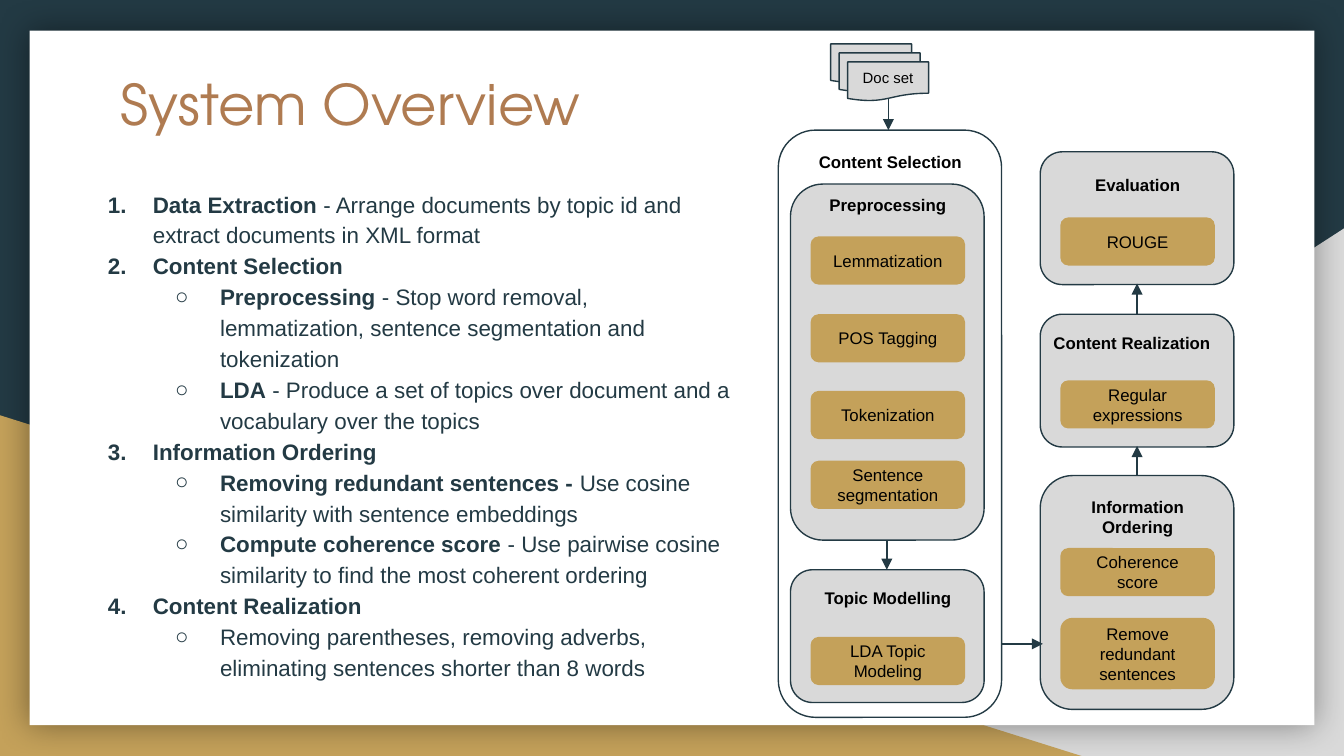
"""Build the System Overview slide with its process diagram."""
import dataclasses

import lxml.etree
import pptx
import pptx.dml.color
import pptx.enum.shapes
import pptx.enum.text
import pptx.oxml.ns
import pptx.util

Cm = pptx.util.Cm
Pt = pptx.util.Pt
qn = pptx.oxml.ns.qn
SHAPE = pptx.enum.shapes.MSO_SHAPE
ANCHOR = pptx.enum.text.MSO_ANCHOR
ALIGN = pptx.enum.text.PP_ALIGN


@dataclasses.dataclass(frozen=True)
class Theme:
    navy: str = "233A44"
    gold: str = "C4A15A"
    grey: str = "D9D9D9"
    white: str = "FFFFFF"
    black: str = "000000"
    copper: str = "AF7B51"
    heading_font: str = "TeX Gyre Adventor"
    text_font: str = "Arial"
    title_size: float = 30
    body_size: float = 12
    step_size: float = 9
    document_size: float = 8
    outline: float = 0.75


def colour(code):
    return pptx.dml.color.RGBColor.from_string(code)


def apply(target, values):
    for name, value in values.items():
        setattr(target, name, value)


def add_xml(parent, tag, **attributes):
    return lxml.etree.SubElement(parent, qn(tag), attributes)


class Deck:
    def __init__(self, slide, theme):
        self.slide, self.theme = slide, theme
        slide.background.fill.solid()
        slide.background.fill.fore_color.rgb = colour(theme.navy)

    def frame(self, shape, anchor=ANCHOR.TOP):
        frame = shape.text_frame
        apply(frame, {"word_wrap": True, "vertical_anchor": anchor,
                      **{f"margin_{side}": Cm(0.25)
                         for side in ("left", "right", "top", "bottom")}})
        return frame

    def run(self, paragraph, text, size, ink, bold=False, font=None):
        run = paragraph.add_run()
        run.text = text
        apply(run.font, {"name": font or self.theme.text_font,
                         "size": Pt(size), "bold": bold})
        run.font.color.rgb = colour(ink)

    def shape(self, kind, box, fill=None, outlined=False, text="", size=None):
        shape = self.slide.shapes.add_shape(kind, *map(Cm, box))
        shape.shadow.inherit = False
        if fill:
            shape.fill.solid()
            shape.fill.fore_color.rgb = colour(fill)
        else:
            shape.fill.background()
        if outlined:
            shape.line.color.rgb = colour(self.theme.navy)
            shape.line.width = Pt(self.theme.outline)
        else:
            shape.line.fill.background()
        if text:
            paragraph = self.frame(shape, ANCHOR.MIDDLE).paragraphs[0]
            paragraph.alignment = ALIGN.CENTER
            self.run(paragraph, text, size or self.theme.step_size, self.theme.black)
        return shape

    def backdrop(self):
        corner = self.shape(SHAPE.RIGHT_TRIANGLE, (9.96, 4.32, 15.44, 9.98), self.theme.grey)
        corner.element.spPr.find(qn("a:xfrm")).set("flipH", "1")
        self.shape(SHAPE.RIGHT_TRIANGLE, (0, 7.85, 20.47, 6.45), self.theme.gold)
        panel = self.shape(SHAPE.RECTANGLE, (0.56, 0.58, 24.28, 13.13), self.theme.white)
        glow = add_xml(panel.element.spPr.find(qn("a:effectLst")), "a:outerShdw",
                       blurRad=str(Pt(18)), dist="0", dir="0", algn="ctr", rotWithShape="0")
        add_xml(add_xml(glow, "a:srgbClr", val=self.theme.black), "a:alpha", val="40000")

    def title(self, text, box):
        frame = self.frame(self.slide.shapes.add_textbox(*map(Cm, box)))
        self.run(frame.paragraphs[0], text, self.theme.title_size,
                 self.theme.copper, font=self.theme.heading_font)

    def label(self, text, box):
        frame = self.frame(self.slide.shapes.add_textbox(*map(Cm, box)))
        frame.paragraphs[0].alignment = ALIGN.CENTER
        self.run(frame.paragraphs[0], text, self.theme.step_size, self.theme.black, bold=True)

    def outline(self, points, box):
        frame = self.frame(self.slide.shapes.add_textbox(*map(Cm, box)))
        for index, (level, term, detail) in enumerate(points):
            paragraph = frame.add_paragraph() if index else frame.paragraphs[0]
            apply(paragraph, {"level": level, "line_spacing": 1.15})
            properties = paragraph._p.get_or_add_pPr()
            properties.set("marL", str(Cm(1.27 * (level + 1))))
            properties.set("indent", str(Cm(-0.85)))
            add_xml(add_xml(properties, "a:buClr"), "a:srgbClr", val=self.theme.navy)
            add_xml(properties, "a:buFont", typeface=self.theme.text_font)
            if level:
                add_xml(properties, "a:buChar", char="○")
            else:
                add_xml(properties, "a:buAutoNum", type="arabicPeriod")
            for text, bold in ((term, True), (detail, False)):
                if text:
                    self.run(paragraph, text, self.theme.body_size, self.theme.navy, bold)

    def stage(self, left, top, height, name, name_box, steps):
        self.shape(SHAPE.ROUNDED_RECTANGLE, (left, top, 3.66, height), self.theme.grey, True)
        self.label(name, name_box)
        for step, step_top, step_height in steps:
            self.shape(SHAPE.ROUNDED_RECTANGLE, (left + 0.38, step_top, 2.92, step_height),
                       self.theme.gold, text=step)

    def arrow(self, *ends):
        arrow = self.slide.shapes.add_connector(
            pptx.enum.shapes.MSO_CONNECTOR.STRAIGHT, *map(Cm, ends))
        arrow.line.color.rgb = colour(self.theme.navy)
        arrow.line.width = Pt(self.theme.outline)
        properties = arrow._element.spPr
        add_xml(properties.find(qn("a:ln")), "a:tailEnd", type="triangle")
        add_xml(properties, "a:effectLst")


POINTS = [
    (0, "Data Extraction", " - Arrange documents by topic id and extract documents in XML format"),
    (0, "Content Selection", ""),
    (1, "Preprocessing",
     " - Stop word removal, lemmatization, sentence segmentation and tokenization"),
    (1, "LDA", " - Produce a set of topics over document and a vocabulary over the topics"),
    (0, "Information Ordering", ""),
    (1, "Removing redundant sentences - ", "Use cosine similarity with sentence embeddings"),
    (1, "Compute coherence score ",
     "- Use pairwise cosine similarity to find the most coherent ordering"),
    (0, "Content Realization", ""),
    (1, "", "Removing parentheses, removing adverbs, "
            "eliminating sentences shorter than 8 words"),
]
LEFT, RIGHT, STEP = 14.94, 19.66, 0.91
STAGES = [
    (LEFT, 3.48, 6.73, "Preprocessing", (15.32, 3.48, 2.92, 0.58),
     [("Lemmatization", 4.47, STEP), ("POS Tagging", 5.94, STEP),
      ("Tokenization", 7.39, STEP), ("Sentence segmentation", 8.71, STEP)]),
    (LEFT, 10.77, 2.51, "Topic Modelling", (15.04, 10.92, 3.48, 0.58),
     [("LDA Topic Modeling", 12.04, STEP)]),
    (RIGHT, 8.99, 4.42, "Information Ordering", (19.76, 9.14, 3.48, 1.04),
     [("Coherence score", 10.36, STEP), ("Remove redundant sentences", 11.68, 1.35)]),
    (RIGHT, 5.94, 2.51, "Content Realization", (19.56, 6.1, 3.66, 0.58),
     [("Regular expressions", 7.19, STEP)]),
    (RIGHT, 2.87, 2.51, "Evaluation", (19.76, 3.12, 3.48, 0.58),
     [("ROUGE", 4.11, STEP)]),
]
ARROWS = [
    (16.79, 1.88, 16.79, 2.46), (16.76, 10.21, 16.76, 10.77),
    (18.92, 12.17, 19.71, 12.17), (21.49, 8.99, 21.49, 8.43),
    (21.49, 5.94, 21.49, 5.36),
]


def main():
    presentation = pptx.Presentation()
    apply(presentation, {"slide_width": Cm(25.4), "slide_height": Cm(14.29)})
    theme = Theme()
    deck = Deck(presentation.slides.add_slide(presentation.slide_layouts[6]), theme)
    deck.backdrop()
    deck.title("System Overview", (2.03, 1.07, 12.14, 1.6))
    deck.outline(POINTS, (1.37, 3.28, 12.78, 10.16))
    deck.shape(SHAPE.FLOWCHART_ALTERNATE_PROCESS, (14.71, 2.46, 4.22, 11.1), outlined=True)
    deck.label("Content Selection", (15.01, 2.67, 3.63, 0.76))
    for layer, caption in enumerate(("", "", "Doc set")):
        deck.shape(SHAPE.FLOWCHART_DOCUMENT,
                   (15.7 + 0.16 * layer, 0.83 + 0.17 * layer, 1.53, 0.74),
                   theme.grey, True, caption, theme.document_size)
    for stage in STAGES:
        deck.stage(*stage)
    for ends in ARROWS:
        deck.arrow(*ends)
    presentation.save("out.pptx")


if __name__ == "__main__":
    main()
